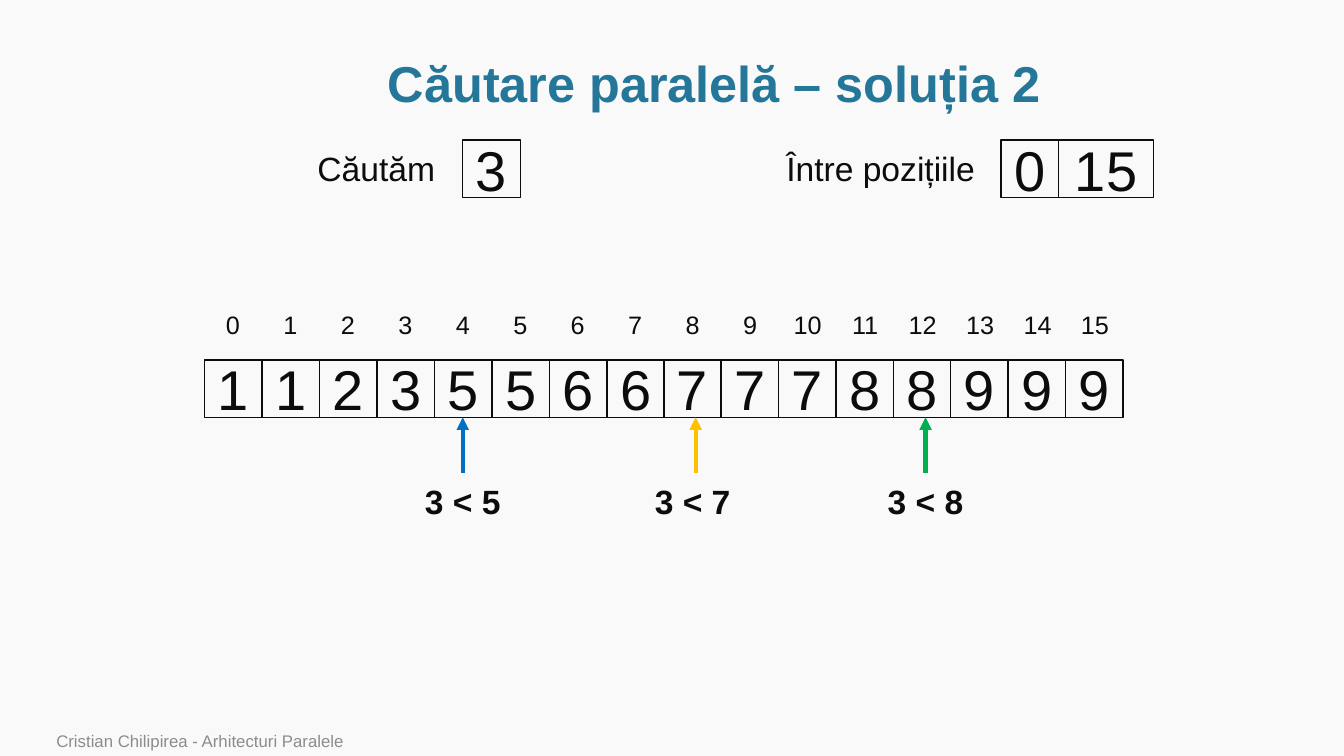
import dataclasses

import pptx
import pptx.dml.color
import pptx.enum.shapes
import pptx.enum.text
import pptx.oxml
import pptx.oxml.ns
import pptx.util

PX = 9144
ALIGN = pptx.enum.text.PP_ALIGN
ANCHOR = pptx.enum.text.MSO_ANCHOR


@dataclasses.dataclass(frozen=True)
class Theme:
    font: str = "Arial"
    background: str = "F9F9F9"
    title: str = "247798"
    ink: str = "0C0C0C"
    footer: str = "8C8C8C"
    blue: str = "0070C0"
    yellow: str = "FFC000"
    green: str = "00B050"
    title_size: int = 36
    value_size: int = 40
    label_size: int = 24
    index_size: int = 18
    footer_size: int = 12


THEME = Theme()


def px(length):
    return pptx.util.Emu(round(length) * PX)


def rgb(color):
    return pptx.dml.color.RGBColor.from_string(color)


def write(shape, text, size, color=THEME.ink, bold=False, align=ALIGN.CENTER,
          anchor=ANCHOR.TOP, wrap=True):
    frame = shape.text_frame
    frame.word_wrap = wrap
    frame.vertical_anchor = anchor
    paragraph = frame.paragraphs[0]
    paragraph.text = text
    paragraph.alignment = align
    paragraph.font.name = THEME.font
    paragraph.font.size = pptx.util.Pt(size)
    paragraph.font.bold = bold
    paragraph.font.color.rgb = rgb(color)
    return paragraph


def add_text(slide, box, text, size, **style):
    shape = slide.shapes.add_textbox(*map(px, box))
    return write(shape, text, size, **style)


def add_cell(slide, box, value):
    cell = slide.shapes.add_shape(pptx.enum.shapes.MSO_SHAPE.RECTANGLE, *map(px, box))
    cell.shadow.inherit = False
    cell.fill.background()
    cell.line.color.rgb = rgb(THEME.ink)
    cell.line.width = pptx.util.Pt(1)
    write(cell, str(value), THEME.value_size, anchor=ANCHOR.MIDDLE)


def add_up_arrow(slide, x, top, height, color):
    arrow = slide.shapes.add_connector(
        pptx.enum.shapes.MSO_CONNECTOR.STRAIGHT, px(x), px(top + height), px(x), px(top))
    arrow.line.color.rgb = rgb(color)
    arrow.line.width = pptx.util.Pt(3)
    head = pptx.oxml.parse_xml(
        f'<a:tailEnd {pptx.oxml.ns.nsdecls("a")} type="triangle"/>')
    arrow.line._get_or_add_ln().append(head)
    effects = pptx.oxml.parse_xml(f'<a:effectLst {pptx.oxml.ns.nsdecls("a")}/>')
    arrow._element.spPr.append(effects)


def add_title(slide, box, text):
    paragraph = add_text(slide, box, text, THEME.title_size, color=THEME.title,
                         bold=True, anchor=ANCHOR.MIDDLE)
    paragraph.line_spacing = 0.9


def add_query(slide, box, label, label_width, values, widths):
    left, top, width, height = box
    add_text(slide, (left, top + 3, label_width, 50), label, THEME.label_size,
             align=ALIGN.LEFT, wrap=False)
    cell_left = left + width - sum(widths)
    for value, cell_width in zip(values, widths):
        add_cell(slide, (cell_left, top, cell_width, height), value)
        cell_left += cell_width


def add_array(slide, box, values):
    left, top, width, height = box
    pitch = width / len(values)
    cell_size = 57
    cell_top = top + height - cell_size
    for index, value in enumerate(values):
        cell_left = left + index * pitch
        add_cell(slide, (cell_left, cell_top, cell_size, cell_size), value)
        add_text(slide, (cell_left + (pitch - 48) / 2, top, 48, 40), str(index),
                 THEME.index_size, wrap=False)


def add_comparisons(slide, box, comparisons):
    left, top, width, height = box
    for arrow_x, label_x, text, color in comparisons:
        add_up_arrow(slide, left + arrow_x, top, 55, color)
        add_text(slide, (left + label_x - 48, top + height - 50, 96, 50), text,
                 THEME.label_size, bold=True, wrap=False)


def add_footer(slide, box, text):
    add_text(slide, box, text, THEME.footer_size, color=THEME.footer,
             align=ALIGN.LEFT, anchor=ANCHOR.BOTTOM)


def main():
    presentation = pptx.Presentation()
    presentation.slide_width = px(1333)
    presentation.slide_height = px(750)
    slide = presentation.slides.add_slide(presentation.slide_layouts[6])
    slide.background.fill.solid()
    slide.background.fill.fore_color.rgb = rgb(THEME.background)

    add_title(slide, (114, 51, 1189, 69), "Căutare paralelă – soluția 2")
    add_query(slide, (305, 139, 211, 57), "Căutăm", 138, [3], [57])
    add_query(slide, (770, 139, 374, 57), "Între pozițiile", 209, [0, 15], [57, 94])
    add_array(slide, (203, 302, 911, 112),
              [1, 1, 2, 3, 5, 5, 6, 6, 7, 7, 7, 8, 8, 9, 9, 9])
    add_comparisons(slide, (203, 414, 911, 108), [
        (256, 256, "3 < 5", THEME.blue),
        (487, 484, "3 < 7", THEME.yellow),
        (715, 715, "3 < 8", THEME.green),
    ])
    add_footer(slide, (46, 722, 982, 28), "Cristian Chilipirea - Arhitecturi Paralele")
    presentation.save("out.pptx")


if __name__ == "__main__":
    main()
